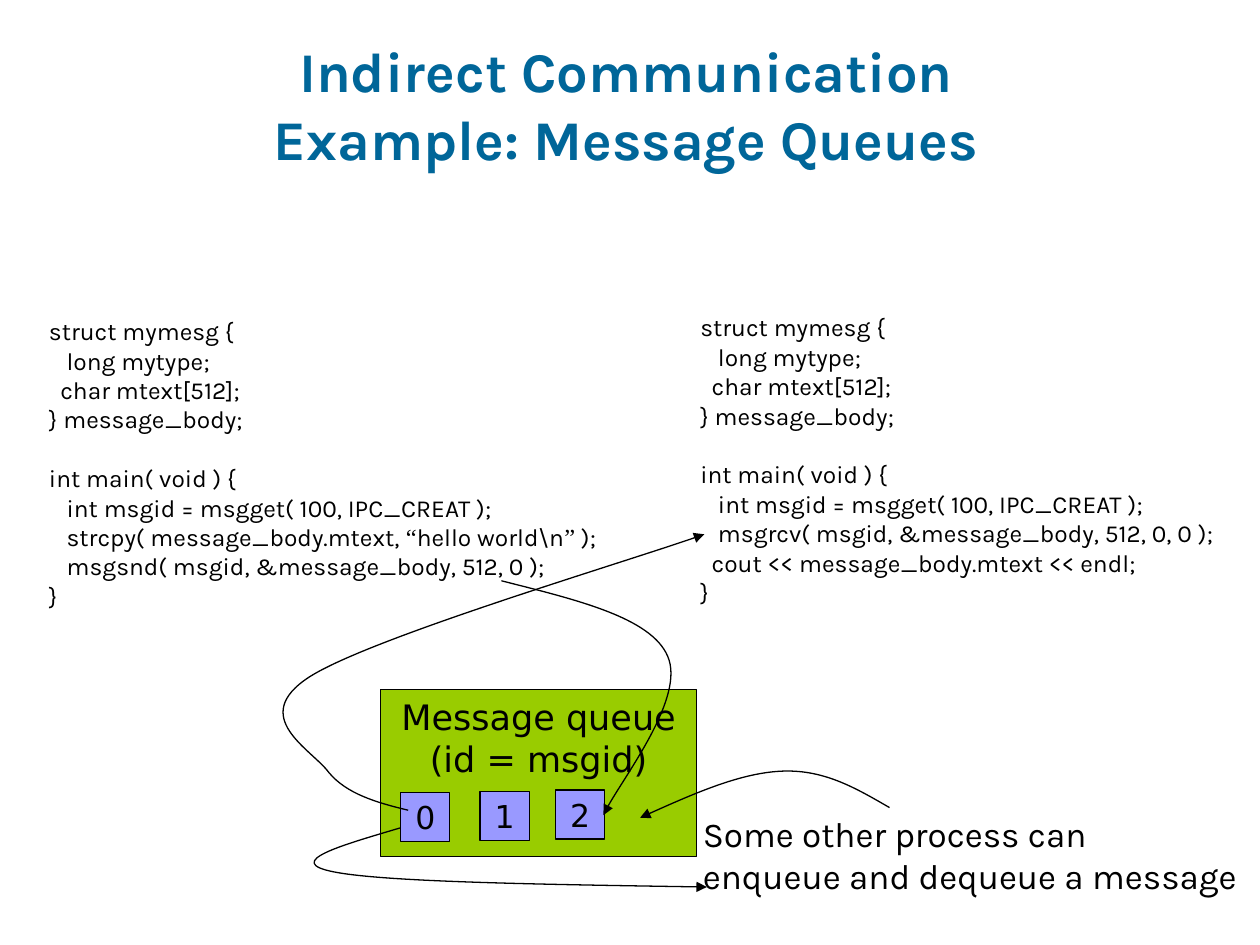
from itertools import groupby
from pptx import Presentation
from pptx.dml.color import RGBColor
from pptx.enum.shapes import MSO_SHAPE
from pptx.enum.text import MSO_ANCHOR, MSO_AUTO_SIZE, PP_ALIGN
from pptx.oxml.ns import qn
from pptx.util import Inches, Pt
from lxml.etree import SubElement

TITLE = "Indirect Communication\vExample: Message Queues"
HEAD = [
    (0, "struct mymesg {"),
    (0.14, "long mytype;"),
    (0.09, "char mtext[512];"),
    (0, "} message_body;"),
    (0, "int main( void ) {"),
    (0.14, "int msgid = msgget( 100, IPC_CREAT );"),
]
SEND = HEAD + [
    (0.14, "strcpy( message_body.mtext, “hello world\\n” );"),
    (0.14, "msgsnd( msgid, &message_body, 512, 0 );"),
    (0, "}"),
]
FETCH = HEAD + [
    (0.14, "msgrcv( msgid, &message_body, 512, 0, 0 );"),
    (0.09, "cout << message_body.mtext << endl;"),
    (0, "}"),
]
NOTE = [(0, "Some other process can"), (0, "enqueue and dequeue a message")]
QUEUE = [(0, "Message queue"), (0, "(id = msgid)")]
TEXTS = [
    ((0.29, 2.46, 4.62, 2.67), SEND, 14),
    ((5.46, 2.43, 4.33, 2.67), FETCH, 14),
    ((5.48, 6.4, 4.63, 0.77), NOTE, 20),
]
SLOTS = [(3.18, 6.29), (3.81, 6.28), (4.41, 6.27)]
SIDE = 0.39
CURVES = [
    [(3.98, 4.61), (4.57, 4.76), (5.17, 4.9), (5.3, 5.21),
     (5.44, 5.53), (4.88, 6.26), (4.79, 6.47)],
    [(3.24, 6.43), (2.99, 6.37), (2.75, 6.3), (2.61, 6.13),
     (2.48, 5.95), (1.96, 5.69), (2.46, 5.37),
     (2.95, 5.06), (5.07, 4.43), (5.59, 4.24)],
    [(7.06, 6.41), (6.8, 6.26), (6.55, 6.11), (6.22, 6.12),
     (5.89, 6.13), (5.48, 6.31), (5.08, 6.49)],
    [(3.18, 6.57), (2.71, 6.71), (2.24, 6.84), (2.65, 6.92),
     (3.05, 7), (4.33, 7.02), (5.61, 7.04)],
]


def paint(part, color):
    part.solid()
    part.fore_color.rgb = RGBColor.from_string(color)


def style(font, name, size, color="000000", bold=False):
    form = {"name": name, "size": Pt(size), "bold": bold}
    for key, value in form.items():
        setattr(font, key, value)
    paint(font.fill, color)


def write(frame, lines, name, size, align=PP_ALIGN.LEFT):
    frame.word_wrap = False
    for i, (inset, line) in enumerate(lines):
        para = frame.paragraphs[0] if i == 0 else frame.add_paragraph()
        para.alignment = align
        if inset:
            props = para._p.get_or_add_pPr()
            props.set("marL", str(Inches(inset)))
            props.set("indent", "0")
        if line.startswith("int main"):
            para.space_before = Pt(16.8)
        for quote, chars in groupby(line, lambda c: c in "“”"):
            run = para.add_run()
            run.text = "".join(chars)
            style(run.font, "Times New Roman" if quote else name, size)


def outline(shape):
    shape.shadow.inherit = False
    shape.line.width = Pt(0.75)
    paint(shape.line.fill, "000000")


def add_box(slide, area, color, lines, size, anchor):
    box = slide.shapes.add_shape(MSO_SHAPE.RECTANGLE, *map(Inches, area))
    outline(box)
    paint(box.fill, color)
    box.text_frame.vertical_anchor = anchor
    write(box.text_frame, lines, "DejaVu Sans", size, PP_ALIGN.CENTER)


def add_curve(slide, dots):
    dots = [(Inches(x), Inches(y)) for x, y in dots]
    pen = slide.shapes.build_freeform(*dots[0])
    pen.add_line_segments(dots[1:], close=False)
    curve = pen.convert_to_shape()
    outline(curve)
    curve.fill.background()
    SubElement(curve.line._get_or_add_ln(), qn("a:tailEnd"),
               type="triangle", w="med", len="med")
    steps = list(curve._element.iter(qn("a:lnTo")))
    track = steps[0].getparent()
    for i in range(0, len(steps), 3):
        bend = SubElement(track, qn("a:cubicBezTo"))
        for step in steps[i:i + 3]:
            bend.append(step[0])
            track.remove(step)


def main():
    deck = Presentation()
    deck.slide_width, deck.slide_height = Inches(10), Inches(7.5)
    slide = deck.slides.add_slide(deck.slide_layouts[5])

    title = slide.shapes.title
    place = {"left": 0.47, "top": 0.78, "width": 9, "height": 0.63}
    for key, value in place.items():
        setattr(title, key, Inches(value))
    frame = title.text_frame
    frame.text = TITLE
    frame.auto_size = MSO_AUTO_SIZE.NONE
    frame.vertical_anchor = MSO_ANCHOR.BOTTOM
    frame.paragraphs[0].alignment = PP_ALIGN.CENTER
    for run in frame.paragraphs[0].runs:
        style(run.font, "Karla", 32, "006699", True)

    add_box(slide, (3.02, 5.47, 2.51, 1.33), "99CC00", QUEUE, 20,
            MSO_ANCHOR.TOP)
    for i, spot in enumerate(SLOTS):
        add_box(slide, (*spot, SIDE, SIDE), "9999FF", [(0, str(i))], 18,
                MSO_ANCHOR.MIDDLE)
    for area, lines, size in TEXTS:
        box = slide.shapes.add_textbox(*map(Inches, area))
        write(box.text_frame, lines, "Karla", size)
        box.text_frame.auto_size = MSO_AUTO_SIZE.SHAPE_TO_FIT_TEXT
    for dots in CURVES:
        add_curve(slide, dots)
    deck.save("out.pptx")


if __name__ == "__main__":
    main()
